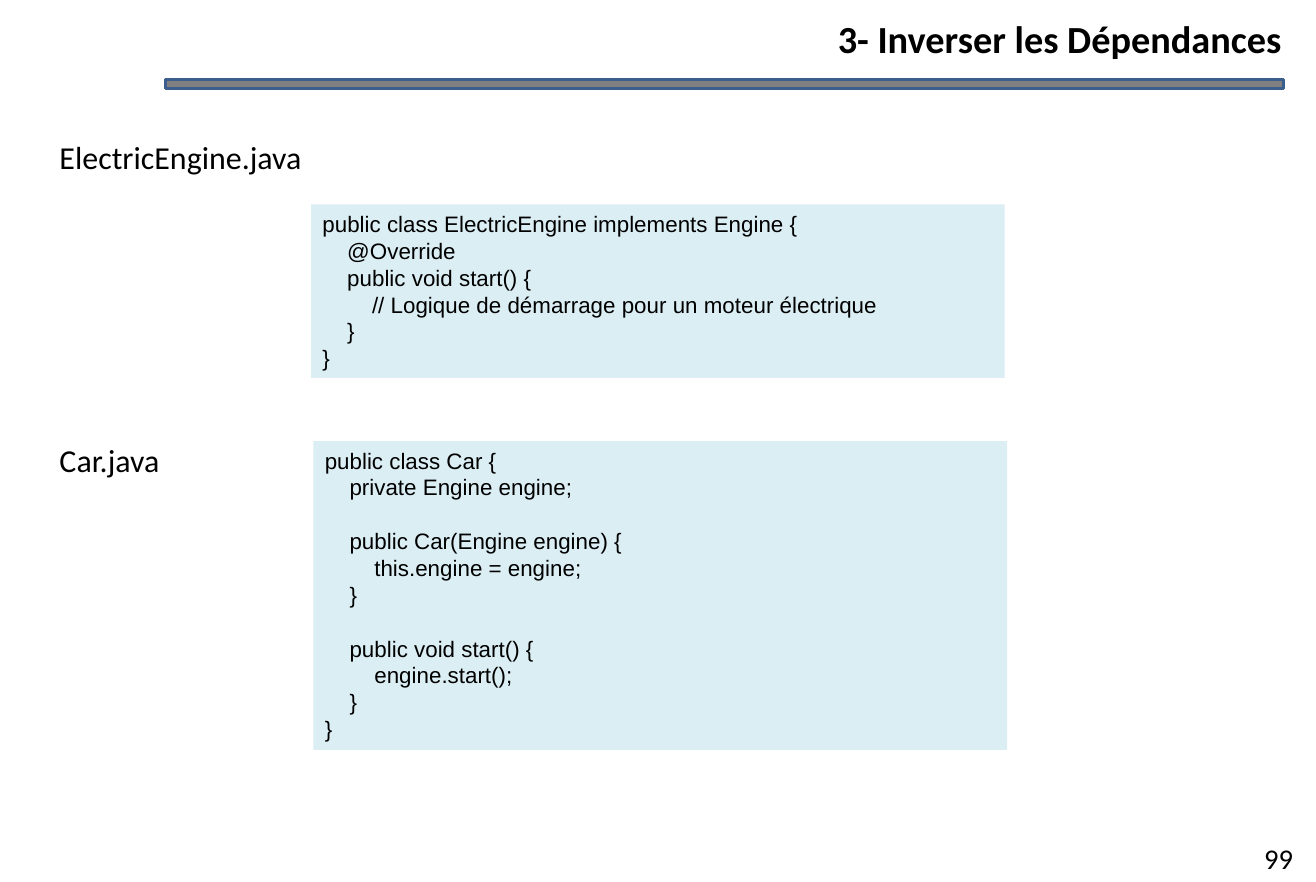
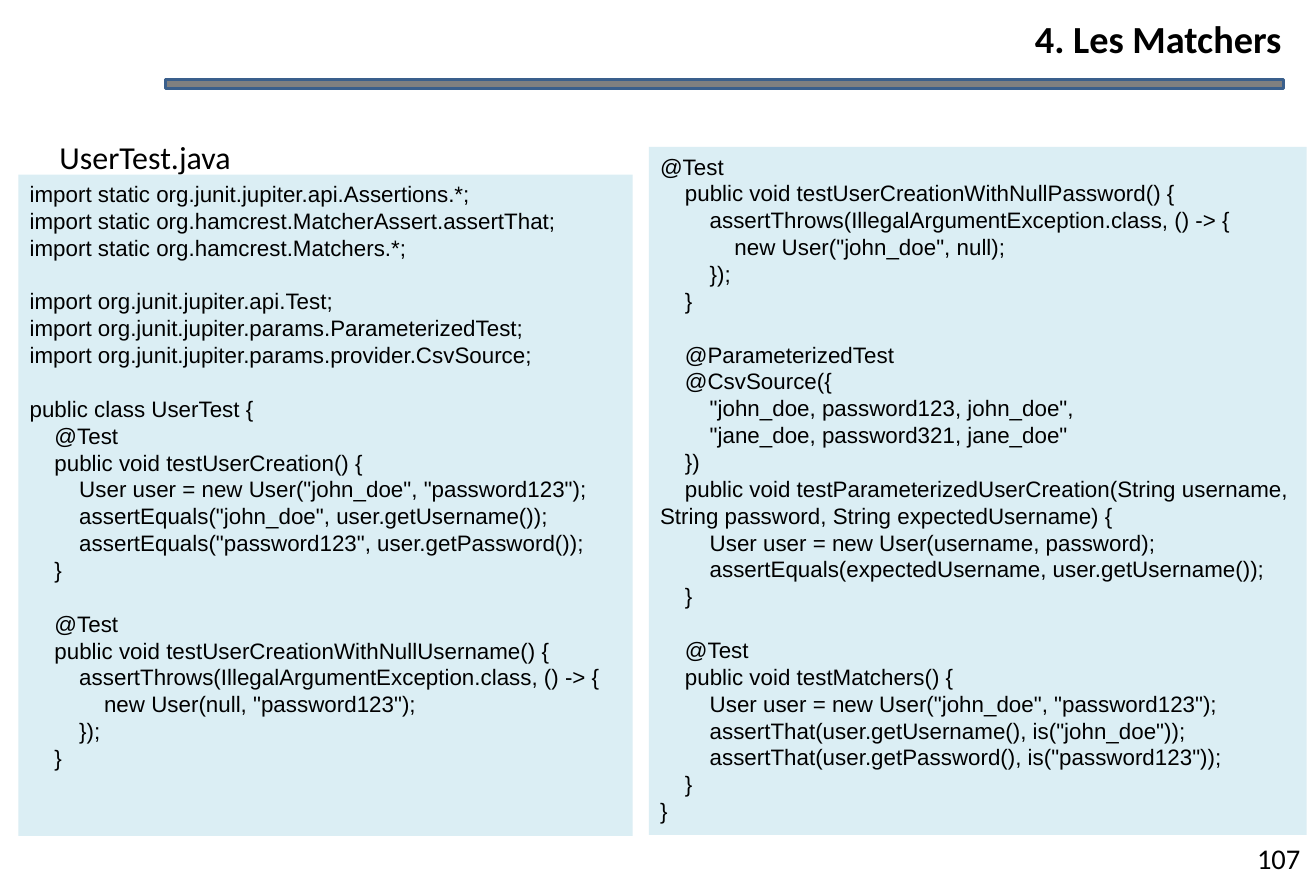
from dataclasses import dataclass

from pptx import Presentation
from pptx.dml.color import RGBColor
from pptx.enum.shapes import MSO_SHAPE
from pptx.enum.text import MSO_ANCHOR, PP_ALIGN
from pptx.util import Emu, Pt

PX = 9144  # 100 px to the inch


@dataclass(frozen=True)
class Theme:
    ink: RGBColor = RGBColor(0x00, 0x00, 0x00)
    rule_fill: RGBColor = RGBColor(0x80, 0x80, 0x80)
    rule_line: RGBColor = RGBColor(0x3A, 0x5F, 0x8C)
    code_fill: RGBColor = RGBColor(0xDB, 0xEE, 0xF4)
    body_font: str = "Calibri"
    code_font: str = "Arial"
    title_size: float = 24
    label_size: float = 20
    number_size: float = 17.9
    code_size: float = 14
    code_pitch: float = 16.85


ENGINE_CODE = """
public class ElectricEngine implements Engine {
    @Override
    public void start() {
        // Logique de démarrage pour un moteur électrique
    }
}
"""

CAR_CODE = """
public class Car {
    private Engine engine;

    public Car(Engine engine) {
        this.engine = engine;
    }

    public void start() {
        engine.start();
    }
}
"""

TEST_CODE_START = """
import static org.junit.jupiter.api.Assertions.*;
import static org.hamcrest.MatcherAssert.assertThat;
import static org.hamcrest.Matchers.*;

import org.junit.jupiter.api.Test;
import org.junit.jupiter.params.ParameterizedTest;
import org.junit.jupiter.params.provider.CsvSource;

public class UserTest {
    @Test
    public void testUserCreation() {
        User user = new User("john_doe", "password123");
        assertEquals("john_doe", user.getUsername());
        assertEquals("password123", user.getPassword());
    }

    @Test
    public void testUserCreationWithNullUsername() {
        assertThrows(IllegalArgumentException.class, () -> {
            new User(null, "password123");
        });
    }
"""

TEST_CODE_END = """
@Test
    public void testUserCreationWithNullPassword() {
        assertThrows(IllegalArgumentException.class, () -> {
            new User("john_doe", null);
        });
    }

    @ParameterizedTest
    @CsvSource({
        "john_doe, password123, john_doe",
        "jane_doe, password321, jane_doe"
    })
    public void testParameterizedUserCreation(String username, String password, String expectedUsername) {
        User user = new User(username, password);
        assertEquals(expectedUsername, user.getUsername());
    }

    @Test
    public void testMatchers() {
        User user = new User("john_doe", "password123");
        assertThat(user.getUsername(), is("john_doe"));
        assertThat(user.getPassword(), is("password123"));
    }
}
"""


class Deck:
    def __init__(self, width, height, theme):
        self.theme = theme
        self.prs = Presentation()
        self.prs.slide_width, self.prs.slide_height = Emu(width * PX), Emu(height * PX)
        self.s = None

    # Shared frame: title, rule and page number
    def slide(self, title, number):
        t = self.theme
        self.s = self.prs.slides.add_slide(self.prs.slide_layouts[6])
        rule = self.rect((144, 69, 974, 8), t.rule_fill)
        rule.line.color.rgb = t.rule_line
        rule.line.width = Pt(2)
        self.text((195, 13, 921, 40), title, t.title_size, PP_ALIGN.RIGHT, bold=True, inset=False)
        self.text((1081, 727, 65, 41), str(number), t.number_size, PP_ALIGN.CENTER)

    def rect(self, box, fill):
        sp = self.s.shapes.add_shape(MSO_SHAPE.RECTANGLE, *(Emu(v * PX) for v in box))
        sp.shadow.inherit = False
        sp.fill.solid()
        sp.fill.fore_color.rgb = fill
        sp.line.fill.background()
        return sp

    def style(self, p, font, size, align, bold=False):
        p.alignment = align
        p.font.name, p.font.size, p.font.bold = font, Pt(size), bold
        p.font.color.rgb = self.theme.ink

    def text(self, box, text, size, align=PP_ALIGN.LEFT, bold=False, inset=True):
        tf = self.s.shapes.add_textbox(*(Emu(v * PX) for v in box)).text_frame
        tf.word_wrap = True
        if not inset:
            tf.margin_left = tf.margin_right = tf.margin_top = tf.margin_bottom = 0
        p = tf.paragraphs[0]
        p.text = text
        self.style(p, self.theme.body_font, size, align, bold)
        return p

    def label(self, y, text):
        p = self.text((42, y, 400, 46), text, self.theme.label_size)
        p.line_spacing = 1.15

    # Code panel: an empty source line becomes space before the next one
    def code(self, box, source):
        t = self.theme
        tf = self.rect(box, t.code_fill).text_frame
        tf.word_wrap = True
        tf.vertical_anchor = MSO_ANCHOR.TOP
        p, gap = None, 0
        for line in source.strip("\n").split("\n"):
            if not line:
                gap += t.code_pitch
                continue
            p = tf.add_paragraph() if p else tf.paragraphs[0]
            p.text = line
            p.line_spacing = Pt(t.code_pitch)
            p.space_before = Pt(gap)
            self.style(p, t.code_font, t.code_size, PP_ALIGN.LEFT)
            gap = 0


def main():
    deck = Deck(1146, 768, Theme())

    # Dependency inversion
    deck.slide("3- Inverser les Dépendances", 99)
    deck.label(110, "ElectricEngine.java")
    deck.label(374, "Car.java")
    deck.code((271, 178, 604, 151), ENGINE_CODE)
    deck.code((273, 384, 604, 269), CAR_CODE)

    # Matchers
    deck.slide("4. Les Matchers", 107)
    deck.label(110, "UserTest.java")
    deck.code((16, 152, 535, 576), TEST_CODE_START)
    deck.code((565, 128, 573, 599), TEST_CODE_END)

    deck.prs.save("out.pptx")


if __name__ == "__main__":
    main()
